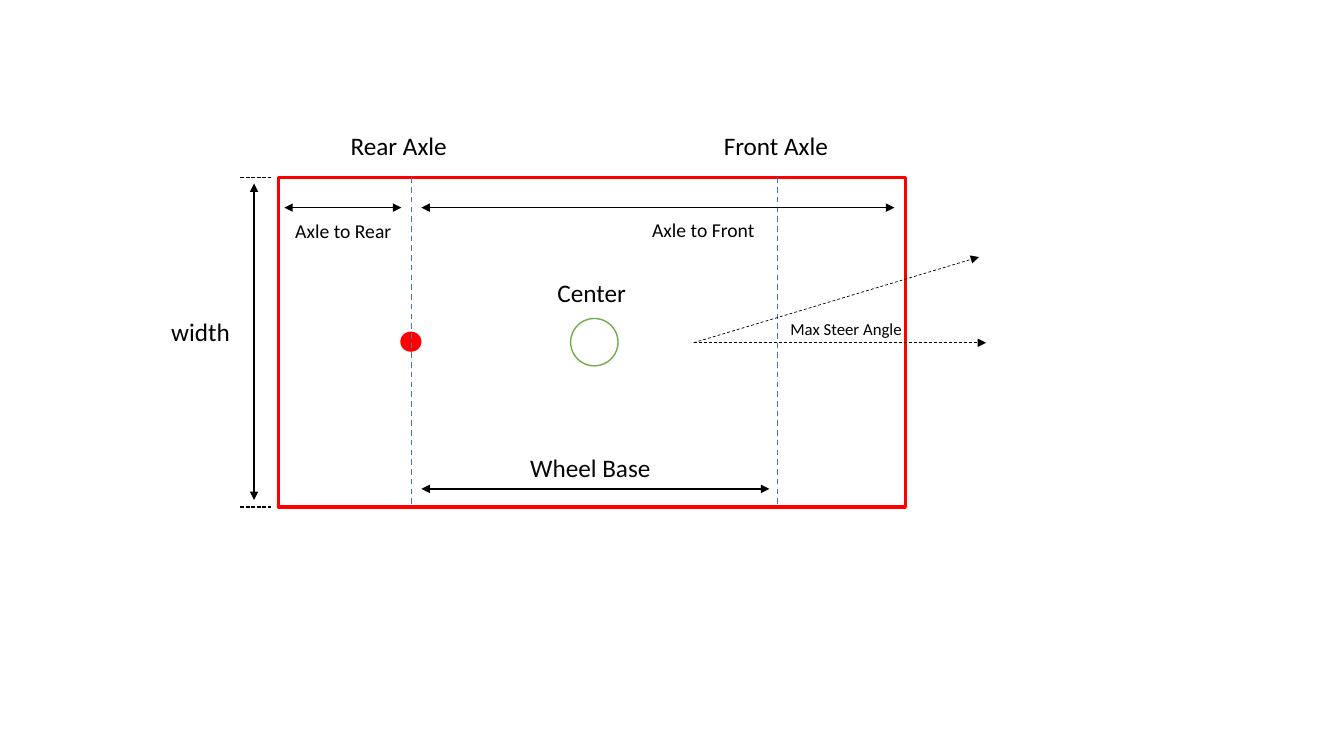
"""Draw the dimensions of a vehicle: axles, wheel base, width and steer angle."""
from dataclasses import dataclass
from typing import Optional

import lxml.etree
import pptx
import pptx.dml.color
import pptx.enum.dml
import pptx.enum.shapes
import pptx.enum.text
import pptx.oxml.ns
import pptx.shapes.group
import pptx.util

Inches = pptx.util.Inches
RGBColor = pptx.dml.color.RGBColor
Dash = pptx.enum.dml.MSO_LINE
Shape = pptx.enum.shapes.MSO_SHAPE
qn = pptx.oxml.ns.qn

BLACK = RGBColor(0x00, 0x00, 0x00)
INK = RGBColor(0x08, 0x08, 0x08)
WHITE = RGBColor(0xFF, 0xFF, 0xFF)
RED = RGBColor(0xFF, 0x00, 0x00)
BLUE = RGBColor(0x44, 0x72, 0xC4)
GREEN = RGBColor(0x70, 0xAD, 0x47)

LEFT, TOP, WIDTH, HEIGHT = 2.76, 1.76, 6.22, 3.27
BOTTOM = TOP + HEIGHT
MIDDLE = 3.4
REAR, FRONT = 4.08, 7.71
AXLE_GAP = 0.1


@dataclass(frozen=True)
class Outline:
    kind: Shape
    left: float
    top: float
    width: float
    height: float
    fill: RGBColor
    line: Optional[RGBColor] = None
    weight: float = 1


@dataclass(frozen=True)
class Stroke:
    start: tuple[float, float]
    end: tuple[float, float]
    color: RGBColor = BLACK
    weight: float = 1
    dash: Optional[Dash] = None
    arrows: tuple[str, ...] = ()


@dataclass(frozen=True)
class Label:
    text: str
    left: float
    top: float
    width: float
    height: float = 0.4
    size: int = 18
    color: RGBColor = BLACK


BOTH = ("headEnd", "tailEnd")
FORWARD = ("tailEnd",)
STEER_START = (6.88, MIDDLE)

PARTS = [
    Outline(Shape.RECTANGLE, LEFT, TOP, WIDTH, HEIGHT, WHITE, RED, 2.25),
    Outline(Shape.OVAL, 3.97, 3.29, 0.21, 0.2, RED),
    *(Stroke((axle, TOP), (axle, BOTTOM), BLUE, dash=Dash.DASH) for axle in (REAR, FRONT)),
    Label("Rear Axle", 3.38, 1.24, 1.17),
    Label("Front Axle", 7.08, 1.24, 1.25),
    Outline(Shape.OVAL, 5.66, 3.16, 0.47, 0.47, WHITE, GREEN),
    Label("Center", 5.43, 2.7, 0.92),
    Label("width", 1.6, 3.09, 0.81),
    Stroke((2.52, 1.82), (2.52, 4.96), arrows=BOTH),
    *(Stroke((2.38, edge), (2.69, edge), dash=Dash.SQUARE_DOT) for edge in (TOP, BOTTOM)),
    Stroke((REAR + AXLE_GAP, 4.85), (7.63, 4.85), arrows=BOTH),
    Label("Wheel Base", 5.16, 4.44, 1.41, color=INK),
    Stroke((REAR + AXLE_GAP, 2.06), (8.87, 2.06), arrows=BOTH),
    Label("Axle to Front", 6.37, 2.11, 1.23, 0.34, size=14),
    Stroke((2.82, 2.06), (REAR - AXLE_GAP, 2.06), arrows=BOTH),
    Label("Axle to Rear", 2.83, 2.12, 1.17, 0.34, size=14),
    *(
        Stroke(STEER_START, tip, weight=0.5, dash=Dash.DASH, arrows=FORWARD)
        for tip in ((9.78, MIDDLE), (9.71, 2.55))
    ),
    Label("Max Steer Angle", 7.74, 3.11, 1.32, 0.3, size=12),
]


def draw_outline(group: pptx.shapes.group.GroupShape, item: Outline) -> None:
    shape = group.shapes.add_shape(
        item.kind, Inches(item.left), Inches(item.top), Inches(item.width), Inches(item.height)
    )
    shape.shadow.inherit = False
    shape.fill.solid()
    shape.fill.fore_color.rgb = item.fill
    if item.line is None:
        shape.line.fill.background()
    else:
        shape.line.color.rgb = item.line
        shape.line.width = pptx.util.Pt(item.weight)


def draw_stroke(group: pptx.shapes.group.GroupShape, item: Stroke) -> None:
    connector = group.shapes.add_connector(
        pptx.enum.shapes.MSO_CONNECTOR.STRAIGHT,
        *(Inches(value) for value in item.start + item.end),
    )
    connector.line.color.rgb = item.color
    connector.line.width = pptx.util.Pt(item.weight)
    if item.dash is not None:
        connector.line.dash_style = item.dash
    properties = connector.element.spPr
    for arrow in item.arrows:
        lxml.etree.SubElement(properties.find(qn("a:ln")), qn(f"a:{arrow}"), type="triangle")
    lxml.etree.SubElement(properties, qn("a:effectLst"))


def write_text(frame, text: str, *, size: int, color: RGBColor, font: str = "Calibri") -> None:
    span = frame.paragraphs[0].add_run()
    span.text = text
    span.font.name = font
    span.font.size = pptx.util.Pt(size)
    span.font.color.rgb = color


def draw_label(group: pptx.shapes.group.GroupShape, item: Label) -> None:
    box = group.shapes.add_textbox(
        Inches(item.left), Inches(item.top), Inches(item.width), Inches(item.height)
    )
    box.text_frame.word_wrap = False
    box.text_frame.auto_size = pptx.enum.text.MSO_AUTO_SIZE.SHAPE_TO_FIT_TEXT
    write_text(box.text_frame, item.text, size=item.size, color=item.color)


def main() -> None:
    deck = pptx.Presentation()
    deck.slide_width, deck.slide_height = Inches(13.33), Inches(7.5)
    page = deck.slides.add_slide(deck.slide_layouts[6])
    vehicle = page.shapes.add_group_shape()
    painters = {Outline: draw_outline, Stroke: draw_stroke, Label: draw_label}
    for part in PARTS:
        painters[type(part)](vehicle, part)
    deck.save("out.pptx")


if __name__ == "__main__":
    main()
